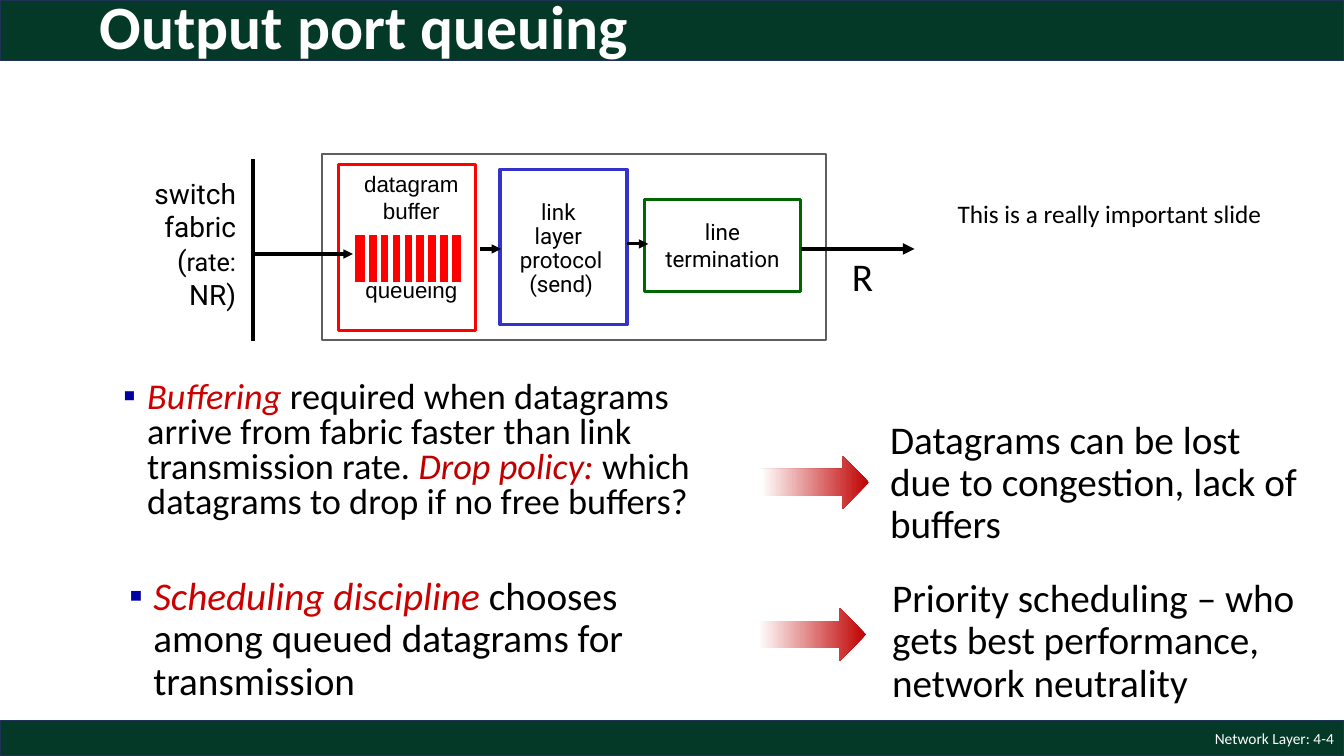
from dataclasses import dataclass

from pptx import Presentation
from pptx.dml.color import RGBColor
from pptx.enum.shapes import MSO_CONNECTOR as Link, MSO_SHAPE as Shape
from pptx.enum.text import MSO_ANCHOR as Anchor, MSO_AUTO_SIZE as Fit, PP_ALIGN as Align
from pptx.oxml.ns import qn
from pptx.util import Inches, Pt
from lxml.etree import SubElement


@dataclass(frozen=True)
class Theme:
    body: str = "Calibri"
    diagram: str = "Roboto"
    queue: str = "Arial"
    black: str = "000000"
    white: str = "FFFFFF"
    band: str = "043927"
    band_edge: str = "1E3256"
    bullet: str = "0000A3"
    key: str = "CC0000"
    deep_red: str = "C00000"
    red: str = "FF0000"
    blue: str = "3333CC"
    green: str = "006600"
    gray: str = "5F5F5F"
    title_size: float = 44
    text_size: float = 28
    tight_size: float = 25.9
    fabric_size: float = 20
    note_size: float = 18
    label_size: float = 16
    footer_size: float = 11


THEME = Theme()


def color(code):
    return RGBColor.from_string(code)


def write(para, text, font=THEME.body, size=THEME.text_size, ink=THEME.black,
          bold=False, italic=False):
    """Add one formatted span to a paragraph."""
    span = para.add_run()
    span.text = text
    span.font.name, span.font.size = font, Pt(size)
    span.font.bold, span.font.italic = bold, italic
    span.font.color.rgb = color(ink)


class SlideBuilder:
    def __init__(self, deck, theme):
        self.theme = theme
        self.page = deck.slides.add_slide(deck.slide_layouts[3])

    def place(self, item, at):
        item.left, item.top, item.width, item.height = map(Inches, at)

    def shape(self, at, kind=Shape.RECTANGLE, fill=None, edge=None, weight=1):
        box = self.page.shapes.add_shape(kind, *map(Inches, at))
        box.shadow.inherit = False
        box.fill.solid()
        box.fill.fore_color.rgb = color(fill or self.theme.white)
        if edge:
            box.line.color.rgb = color(edge)
            box.line.width = Pt(weight)
        else:
            box.line.fill.background()
        return box

    def text(self, at, lines, align=Align.LEFT, anchor=Anchor.TOP, wrap=True,
             spacing=None, gap_before_last=0, **style):
        """Each line is a string or a list of (text, format) spans."""
        box = self.page.shapes.add_textbox(*map(Inches, at))
        frame = box.text_frame
        frame.word_wrap, frame.vertical_anchor = wrap, anchor
        for number, line in enumerate(lines):
            para = frame.add_paragraph() if number else frame.paragraphs[0]
            para.alignment = align
            if spacing:
                para.line_spacing = spacing
            for words, extra in [(line, {})] if isinstance(line, str) else line:
                write(para, words, **{**style, **extra})
        if gap_before_last:
            para.space_before = Pt(gap_before_last)

    def line(self, start, end, ink=None, weight=2.25, arrow=False):
        link = self.page.shapes.add_connector(
            Link.STRAIGHT, *map(Inches, (*start, *end)))
        link.line.color.rgb = color(ink or self.theme.black)
        link.line.width = Pt(weight)
        if arrow:
            SubElement(link.line._get_or_add_ln(), qn("a:tailEnd"), type="triangle")
        SubElement(link._element.spPr, qn("a:effectLst"))

    def fading_arrow(self, at):
        arrow = self.shape(at, Shape.RIGHT_ARROW)
        arrow.fill.gradient()
        arrow.fill.gradient_angle = 180
        for stop, ink in zip(arrow.fill.gradient_stops,
                             (self.theme.deep_red, self.theme.white)):
            stop.color.rgb = color(ink)

    def title(self, at, text):
        title = self.page.shapes.title
        self.place(title, at)
        frame = title.text_frame
        frame.auto_size, frame.vertical_anchor = Fit.NONE, Anchor.MIDDLE
        para = frame.paragraphs[0]
        para.alignment, para.line_spacing = Align.LEFT, 0.9
        write(para, text, size=self.theme.title_size, ink=self.theme.white, bold=True)

    def bullet(self, slot, at, spans, size, spacing):
        body = self.page.placeholders[slot]
        self.place(body, at)
        body.text_frame.auto_size = Fit.NONE
        para = body.text_frame.paragraphs[0]
        para.line_spacing, para.space_before = spacing, Pt(0)
        props = para._p.get_or_add_pPr()
        props.set("marL", str(Inches(0.39)))
        props.set("indent", str(Inches(-0.24)))
        SubElement(SubElement(props, qn("a:buClr")), qn("a:srgbClr"),
                   val=self.theme.bullet)
        SubElement(props, qn("a:buFont"), typeface=self.theme.queue)
        SubElement(props, qn("a:buChar"), char="▪")
        for words, ink in spans:
            write(para, words, size=size, ink=ink or self.theme.black,
                  italic=ink is not None)


def main():
    deck = Presentation()
    deck.slide_width, deck.slide_height = Inches(13.33), Inches(7.5)
    t = THEME
    slide = SlideBuilder(deck, t)

    # Header and footer bands; the bands go behind the placeholders
    for depth, (top, height) in enumerate([(7.15, 0.35), (0, 0.6)]):
        band = slide.shape((0, top, 13.33, height), fill=t.band, edge=t.band_edge)
        slide.page.shapes._spTree.insert(2 + depth, band._element)
    slide.text((10.33, 7.15, 3, 0.35), ["Network Layer: 4-4"], align=Align.RIGHT,
               anchor=Anchor.MIDDLE, size=t.footer_size, ink=t.white)
    slide.title((0.89, -0.2, 11.5, 0.98), "Output port queuing")

    # Left-hand points
    slide.bullet(1, (0.97, 3.74, 6.54, 1.55), [
        ("Buffering", t.key),
        (" required when datagrams arrive from fabric faster than link "
         "transmission rate. ", None),
        ("Drop policy: ", t.deep_red),
        ("which datagrams to drop if no free buffers?", None),
    ], t.tight_size, 0.8)
    slide.bullet(2, (1.03, 5.67, 5.61, 1.41), [
        ("Scheduling discipline", t.key),
        (" chooses among queued datagrams for transmission", None),
    ], t.text_size, 0.9)

    # Consequences
    for arrow_at, text_at, words in [
        ((7.55, 4.52), (8.73, 4.12, 4.32, 1.37),
         "Datagrams can be lost due to congestion, lack of buffers"),
        ((7.52, 6.03), (8.75, 5.69, 4.58, 1.37),
         "Priority scheduling – who gets best performance, network neutrality"),
    ]:
        slide.text(text_at, [words], spacing=0.9)
        slide.fading_arrow((*arrow_at, 1.07, 0.53))
    slide.text((9.4, 1.92, 3.25, 0.4), ["This is a really important slide"],
               wrap=False, size=t.note_size)

    # Port stages
    for at, edge, weight in [
        ((3.19, 1.53, 5, 1.84), t.gray, 1.5),
        ((6.39, 1.98, 1.55, 0.91), t.green, 2.25),
        ((4.96, 1.68, 1.26, 1.54), t.blue, 2.25),
        ((3.36, 1.63, 1.36, 1.65), t.red, 2.25),
    ]:
        slide.shape(at, edge=edge, weight=weight)

    # Stage labels
    label = dict(anchor=Anchor.MIDDLE, wrap=False, font=t.diagram)
    slide.text((6.39, 1.98, 1.55, 0.91), ["line", "termination"],
               align=Align.CENTER, size=t.label_size, **label)
    slide.text((4.99, 2.02, 1.15, 0.91), ["link ", "layer ", "protocol", "(send)"],
               align=Align.CENTER, spacing=0.9, size=t.label_size, **label)
    slide.text((1.29, 1.96, 1.15, 0.91),
               ["switch", "fabric",
                [("(", {}), ("rate: ", {"size": t.note_size}), ("NR)", {})]],
               align=Align.RIGHT, size=t.fabric_size, **label)
    slide.text((3.45, 1.64, 1.26, 1.6), ["datagram", "buffer", "queueing"],
               align=Align.CENTER, wrap=False, gap_before_last=37,
               font=t.queue, size=t.label_size)

    # Queue of datagrams
    slide.shape((3.5, 2.31, 1.09, 0.51), fill=t.red, edge=t.white, weight=3)
    for slot in range(8):
        x = 3.64 + slot * 0.82 / 7
        slide.line((x, 2.32), (x, 2.81), ink=t.white, weight=3)

    # Flow through the port
    slide.line((2.51, 1.58), (2.51, 3.38))
    for x, end, y, weight in [(2.49, 3.5, 2.52, 2.25), (4.76, 4.97, 2.47, 2.25),
                              (6.22, 6.43, 2.42, 2.25), (7.94, 9.07, 2.47, 2.75)]:
        slide.line((x, y), (end, y), weight=weight, arrow=True)
    slide.text((8.35, 2.45, 0.35, 0.57), ["R"])

    deck.save("out.pptx")


if __name__ == "__main__":
    main()
